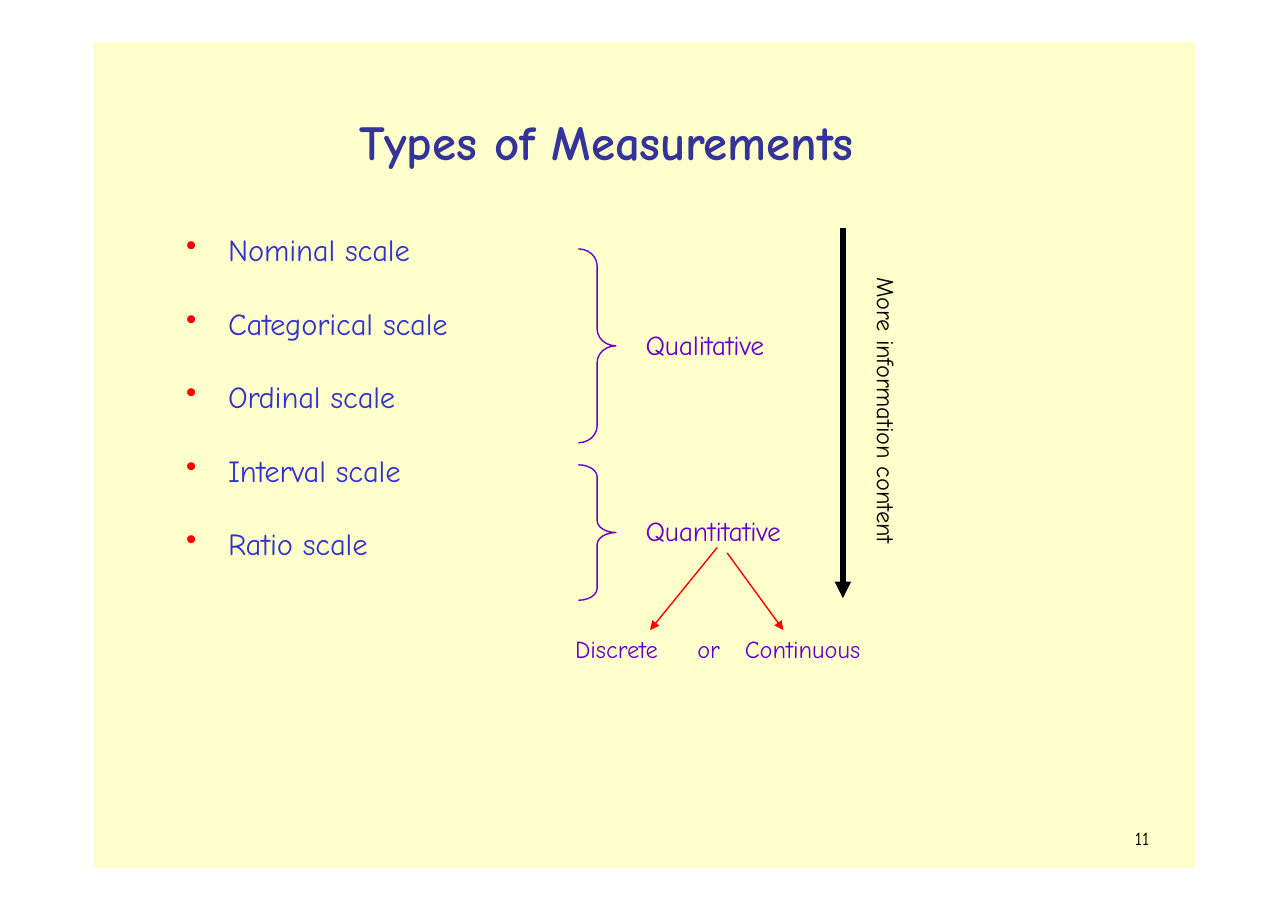
from pptx import Presentation
from pptx import util as u
from pptx.dml import color
from pptx.enum import shapes, text
from pptx.oxml import ns
from lxml import etree

NAVY, BLUE, VIOLET, PURPLE = "33339A", "3333CC", "6500CC", "6600CC"
RED, BLACK, CREAM = "FF0000", "000000", "FFFFCC"


def rgb(value):
    return color.RGBColor.from_string(value)


def add_xml(parent, tag, **attributes):
    return etree.SubElement(parent, ns.qn(tag), attributes)


class Slide:
    font = "Comic Neue"

    def __init__(self, slide):
        self.slide = slide

    def panel(self, left, top, width, height, fill):
        panel = self.slide.shapes.add_shape(
            shapes.MSO_SHAPE.RECTANGLE, *map(u.Inches, (left, top, width, height)))
        panel.shadow.inherit = False
        panel.fill.solid()
        panel.fill.fore_color.rgb = rgb(fill)
        panel.line.fill.background()

    def brace(self, left, top, width, height, curve):
        brace = self.slide.shapes.add_shape(
            shapes.MSO_SHAPE.RIGHT_BRACE, *map(u.Inches, (left, top, width, height)))
        brace.shadow.inherit = False
        brace.adjustments[0] = curve
        brace.fill.background()
        brace.line.color.rgb = rgb(PURPLE)
        brace.line.width = u.Pt(0.9)

    def arrow(self, start, end, ink, weight):
        arrow = self.slide.shapes.add_connector(
            shapes.MSO_CONNECTOR.STRAIGHT, *map(u.Inches, start + end))
        arrow.line.color.rgb = rgb(ink)
        arrow.line.width = u.Pt(weight)
        outline = arrow._element.spPr.find(ns.qn("a:ln"))
        add_xml(outline, "a:tailEnd", type="triangle", w="med", len="med")
        add_xml(arrow._element.spPr, "a:effectLst")

    def label(self, left, top, width, height, lines, size, ink, bold=None, spacing=-10,
              inset=0.02, gap=0, bullet=None, tabs=(), vertical=False):
        box = self.slide.shapes.add_textbox(*map(u.Inches, (left, top, width, height)))
        frame = box.text_frame
        frame.word_wrap = True
        frame.margin_left = frame.margin_right = frame.margin_bottom = 0
        frame.margin_top = u.Inches(inset)
        frame.vertical_anchor = text.MSO_ANCHOR.TOP
        if vertical:
            frame._txBody.bodyPr.set("vert", "vert")
        for number, line in enumerate(lines):
            paragraph = frame.add_paragraph() if number else frame.paragraphs[0]
            properties = paragraph._p.get_or_add_pPr()
            if number:
                paragraph.space_before = u.Pt(gap)
            if bullet:
                properties.set("marL", str(u.Inches(0.39)))
                properties.set("indent", str(u.Inches(-0.38)))
                add_xml(add_xml(properties, "a:buClr"), "a:srgbClr", val=bullet)
                add_xml(properties, "a:buChar", char="•")
            if tabs:
                stops = add_xml(properties, "a:tabLst")
                for stop in tabs:
                    add_xml(stops, "a:tab", pos=str(u.Inches(stop)), algn="l")
            run = paragraph.add_run()
            run.text = line
            run.font.name = self.font
            run.font.size = u.Pt(size)
            run.font.bold = bold
            run.font.color.rgb = rgb(ink)
            run._r.get_or_add_rPr().set("spc", str(spacing))


def main():
    deck = Presentation()
    deck.slide_width, deck.slide_height = u.Inches(11.69), u.Inches(8.27)
    page = Slide(deck.slides.add_slide(deck.slide_layouts[6]))

    page.panel(0.85, 0.38, 10, 7.5, CREAM)
    page.label(3.26, 0.99, 5.18, 0.56, ["Types of Measurements"], 32, NAVY, bold=True)

    scales = [f"{kind} scale" for kind in
              ("Nominal", "Categorical", "Ordinal", "Interval", "Ratio")]
    page.label(1.68, 2.08, 2.6, 3.03, scales, 20, BLUE, gap=24, bullet=RED)

    for group, label_top, brace_top, brace_height, curve in (
            ("Qualitative", 2.96, 2.26, 1.76, 0.45),
            ("Quantitative", 4.65, 4.22, 1.23, 0.32)):
        page.brace(5.25, brace_top, 0.34, brace_height, curve)
        page.label(5.86, label_top, 1.51, 0.33, [group], 18, VIOLET)

    page.arrow((7.65, 2.07), (7.65, 5.43), BLACK, 3.6)
    page.label(7.84, 2.48, 0.34, 2.7, ["More information content"], 16, BLACK,
               spacing=-5, inset=0.04, vertical=True)

    page.label(5.22, 5.74, 2.66, 0.3, ["Discrete\tor\tContinuous"], 16, VIOLET,
               spacing=0, tabs=(1.11, 1.54))
    page.arrow((6.51, 4.97), (5.9, 5.72), RED, 0.9)
    page.arrow((6.6, 5.02), (7.11, 5.72), RED, 0.9)

    page.label(10.3, 7.45, 0.22, 0.26, ["11"], 12, BLACK, spacing=0, inset=0.06)
    deck.save("out.pptx")


if __name__ == "__main__":
    main()
